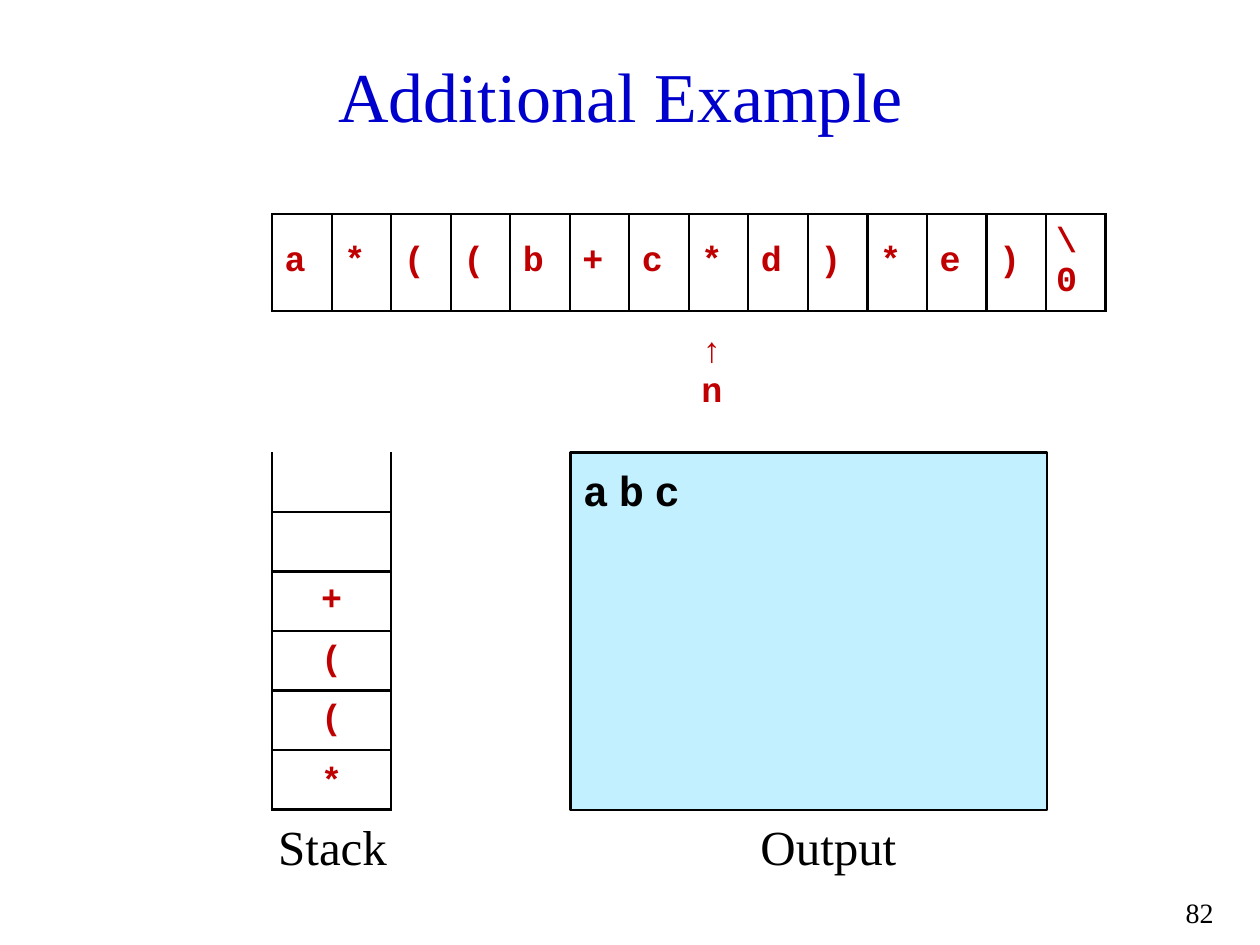
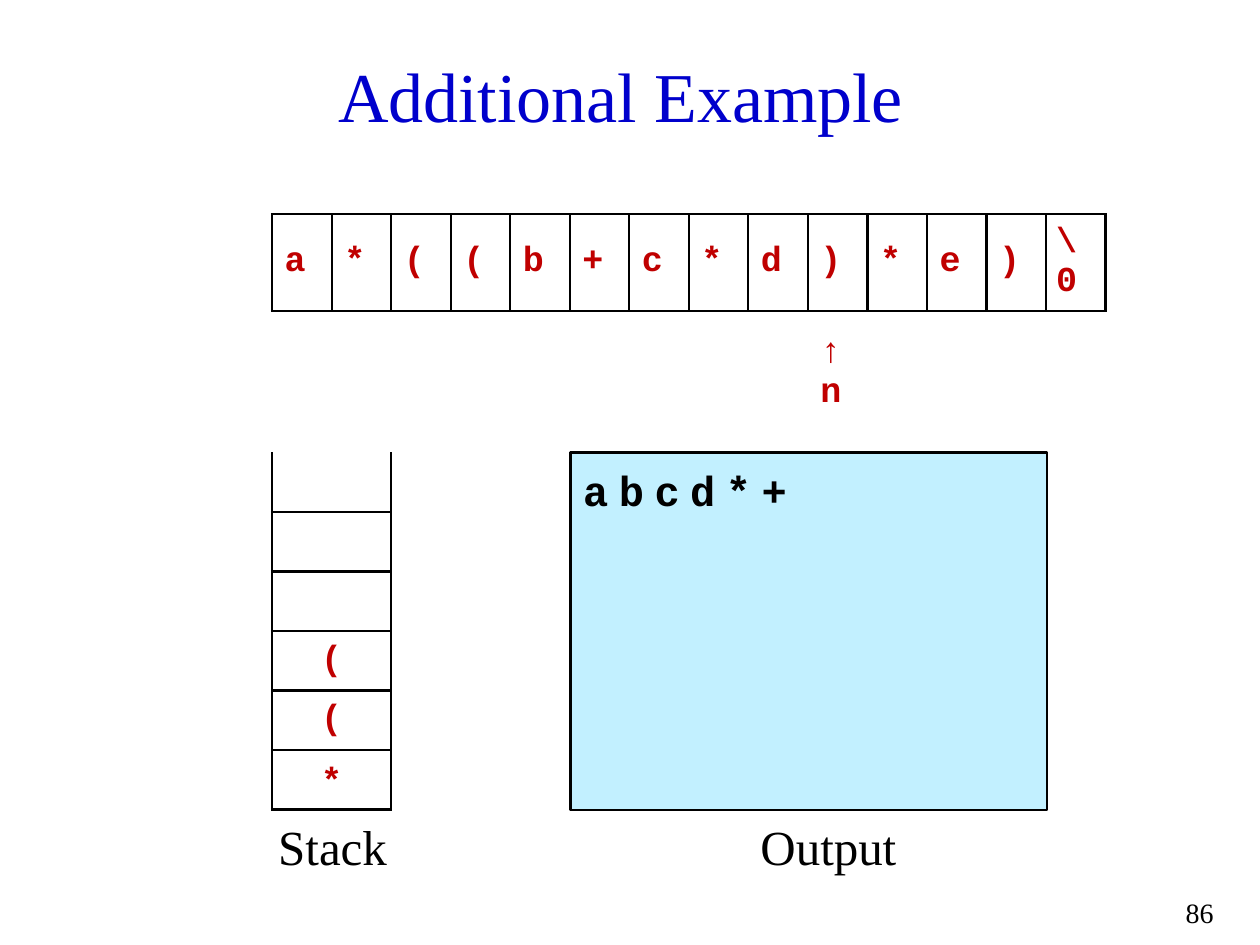
from lxml import etree
from pptx import Presentation
from pptx.dml.color import RGBColor
from pptx.enum import shapes, text
from pptx.oxml.ns import qn
from pptx.util import Inches, Pt

BLUE = RGBColor(0x00, 0x00, 0xCC)
RED = RGBColor(0xC0, 0x00, 0x00)
BLACK = RGBColor(0x00, 0x00, 0x00)
PALE = RGBColor(0xC2, 0xF0, 0xFF)
SERIF, MONO = "Times New Roman", "Courier New"
LEFT, MIDDLE, RIGHT = text.PP_ALIGN.LEFT, text.PP_ALIGN.CENTER, text.PP_ALIGN.RIGHT
TOP, CENTRE, BOTTOM = (text.MSO_ANCHOR.TOP, text.MSO_ANCHOR.MIDDLE,
                       text.MSO_ANCHOR.BOTTOM)
CELL = 0.4725
STACK_ROWS = 6
EXPRESSION = ["a", "*", "(", "(", "b", "+", "c", "*", "d", ")", "*", "e", ")", "\\0"]

# Page number, position of n, stack from the bottom up, output so far
STEPS = [
    (82, 7, "*((+", "abc"),
    (86, 9, "*((", "abcd*+"),
]


def write(tf, words, size=20, font=MONO, color=RED, bold=False, align=LEFT, spacing=0):
    p = tf.paragraphs[0]
    p.alignment = align
    r = p.add_run()
    r.text = words
    r.font.size, r.font.name, r.font.bold = Pt(size), font, bold
    r.font.color.rgb = color
    if spacing:
        r.font._element.set("spc", str(spacing * 100))


def add_grid(s, left, top, rows, cols, width, sides_of):
    """Add a plain table; sides_of(row) names the sides that are ruled."""
    table = s.shapes.add_table(rows, cols, Inches(left), Inches(top),
                               Inches(cols * width), Inches(rows * CELL)).table
    table.first_row = table.horz_banding = False
    for col in table.columns:
        col.width = Inches(width)
    for i, row in enumerate(table.rows):
        row.height = Inches(CELL)
        for cell in row.cells:
            tc_pr = cell._tc.get_or_add_tcPr()
            for side in "LRTB":
                ln = etree.SubElement(tc_pr, qn(f"a:ln{side}"), w=str(Pt(1.5)))
                if side in sides_of(i):
                    fill = etree.SubElement(ln, qn("a:solidFill"))
                    etree.SubElement(fill, qn("a:srgbClr"), val=str(BLACK))
                else:
                    etree.SubElement(ln, qn("a:noFill"))
            cell.fill.background()
    return table


prs = Presentation()
prs.slide_width, prs.slide_height = Inches(10), Inches(7.5)

for page, n, stack, output in STEPS:
    s = prs.slides.add_slide(prs.slide_layouts[6])

    # Title, page number and captions
    for words, box, size, color, align, anchor in [
        ("Additional Example ", (0.27, 0.28, 9.45, 0.94), 40, BLUE, MIDDLE, CENTRE),
        (str(page), (9.1, 7.06, 0.63, 0.32), 16, BLACK, RIGHT, TOP),
        ("Output", (5.79, 6.43, 1.57, 0.63), 28, BLACK, MIDDLE, TOP),
        ("Stack", (2.01, 6.43, 1.26, 0.63), 28, BLACK, MIDDLE, TOP),
    ]:
        tf = s.shapes.add_textbox(*map(Inches, box)).text_frame
        tf.word_wrap = True
        tf.vertical_anchor = anchor
        write(tf, words, size=size, font=SERIF, color=color, align=align)

    # Stack, open at the top and filled from the bottom
    table = add_grid(s, 2.16, 3.59, STACK_ROWS, 1, 2 * CELL,
                     lambda i: "LRTB" if i else "LRB")
    for level, symbol in enumerate(stack):
        cell = table.cell(STACK_ROWS - 1 - level, 0)
        cell.vertical_anchor = CENTRE if level else BOTTOM
        write(cell.text_frame, symbol, bold=True, align=MIDDLE)

    # Output panel
    sp = s.shapes.add_shape(shapes.MSO_SHAPE.RECTANGLE, Inches(4.53), Inches(3.59),
                            Inches(3.78), Inches(2.84))
    sp.shadow.inherit = False
    sp.fill.solid()
    sp.fill.fore_color.rgb = PALE
    sp.line.color.rgb = BLACK
    sp.line.width = Pt(1.5)
    tf = sp.text_frame
    tf.word_wrap = True
    tf.vertical_anchor = TOP
    tf.margin_top = Inches(0.1)
    write(tf, output, size=24, color=BLACK, bold=True, spacing=6)

    # Expression in the first row, pointer n in the two rows below
    table = add_grid(s, 2.16, 1.7, 3, len(EXPRESSION), CELL,
                     lambda i: ("LRTB", "T", "")[i])
    for col, symbol in enumerate(EXPRESSION):
        cell = table.cell(0, col)
        cell.vertical_anchor = CENTRE
        write(cell.text_frame, symbol, bold=True)
    cell.margin_left = cell.margin_right = Inches(0.08)

    arrow, label = table.cell(1, n), table.cell(2, n)
    arrow.vertical_anchor = BOTTOM
    arrow.margin_top, arrow.margin_bottom = Inches(0.16), 0
    label.margin_top = 0
    write(arrow.text_frame, "↑", bold=True)
    write(label.text_frame, "n", bold=True)

prs.save("out.pptx")
